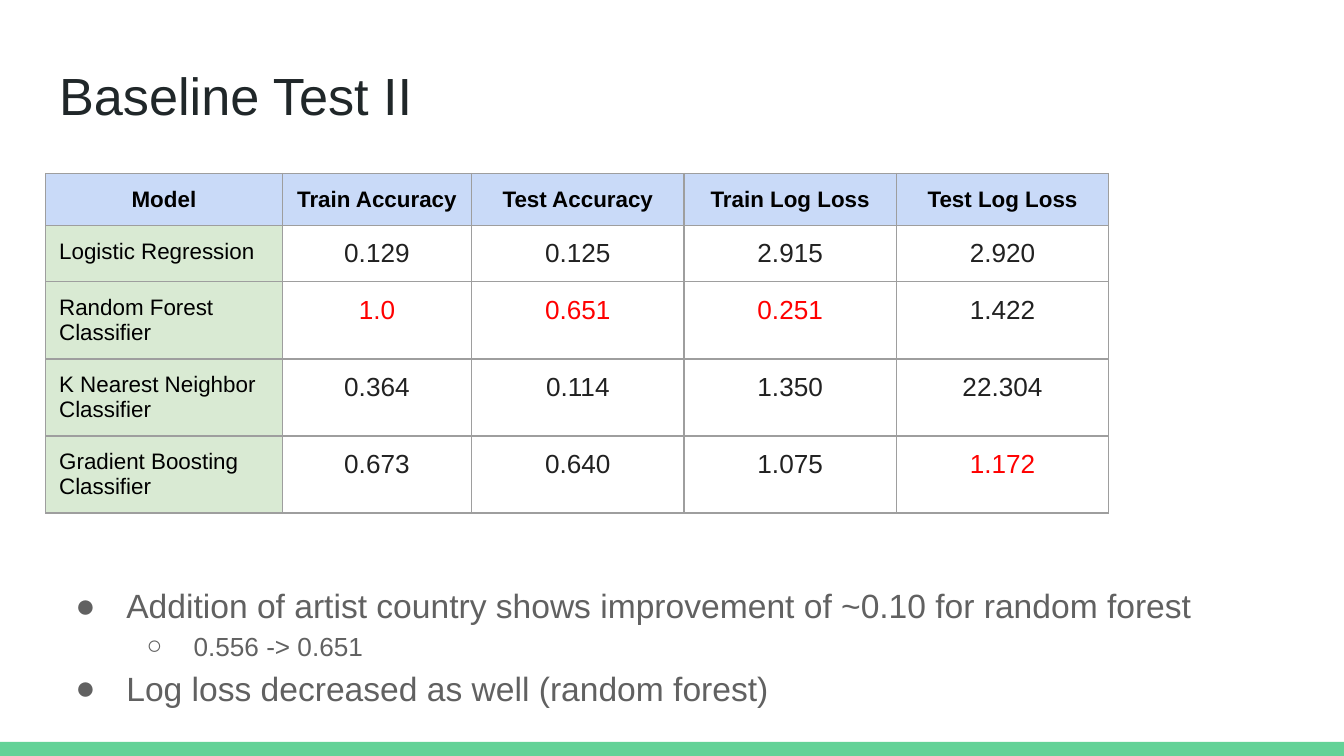
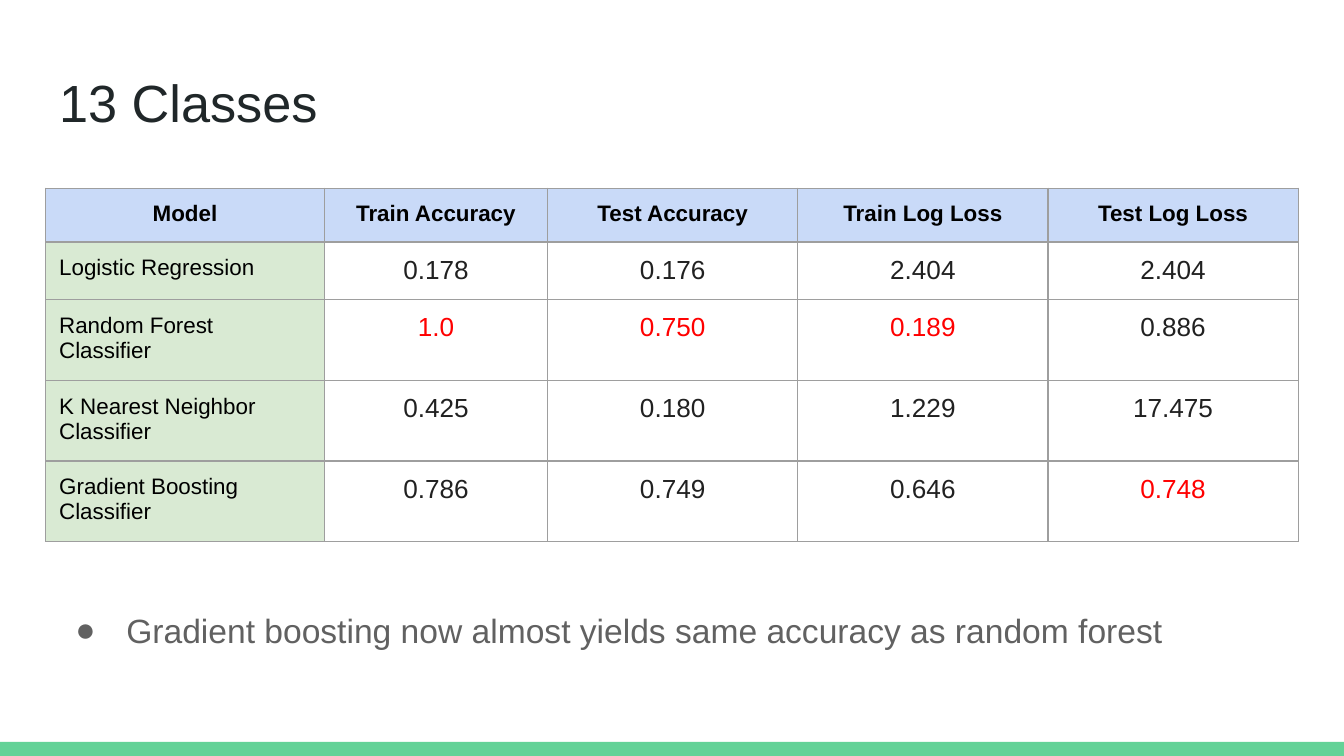
from lxml import etree
from pptx import Presentation
from pptx.dml.color import RGBColor
from pptx.enum.shapes import MSO_SHAPE
from pptx.enum.text import MSO_ANCHOR, MSO_AUTO_SIZE, PP_ALIGN
from pptx.oxml.ns import qn
from pptx.util import Inches, Pt

WHITE = RGBColor(0xFF, 0xFF, 0xFF)
BLACK = RGBColor(0x00, 0x00, 0x00)
GREEN_BAND = RGBColor(0x63, 0xD2, 0x97)
TITLE_INK = RGBColor(0x20, 0x27, 0x29)
BODY_INK = RGBColor(0x61, 0x61, 0x61)
SCORE_INK = RGBColor(0x21, 0x21, 0x21)
BEST_RED = RGBColor(0xFF, 0x00, 0x00)
HEADER_BLUE = RGBColor(0xC9, 0xDA, 0xF8)
MODEL_GREEN = RGBColor(0xD9, 0xEA, 0xD3)
GRID_GREY = RGBColor(0x9E, 0x9E, 0x9E)

FONT = "Arial"
WIDTH = Inches(10)
HEIGHT = WIDTH * 9 // 16
MARGIN = Inches(0.34)
CONTENT_WIDTH = WIDTH - 2 * MARGIN
TITLE_HEIGHT = Inches(0.63)
INSET = Inches(0.1)
BAND_TOP = Inches(5.52)

HEADINGS = ["Model", "Train Accuracy", "Test Accuracy", "Train Log Loss", "Test Log Loss"]
MODELS = ["Logistic Regression", "Random Forest Classifier",
          "K Nearest Neighbor Classifier", "Gradient Boosting Classifier"]
COLUMN_WEIGHTS = [1.76, 1.41, 1.58, 1.58, 1.58]
# Best score of each column, as (row, column) of the table
BEST_CELLS = {(2, 1), (2, 2), (2, 3), (4, 4)}
# Bullet, left margin, hanging indent and text size of each list level
LEVELS = [("●", 0.5, -0.38, 18), ("○", 1, -0.35, 14)]

RESULTS = [
    {
        "title": "Baseline Test II", "title_top": 0.37,
        "table_top": 1.29, "table_width": 7.91,
        "row_heights": [0.38, 0.42, 0.42, 0.42, 0.42],
        "scores": [["0.129", "0.125", "2.915", "2.920"],
                   ["1.0", "0.651", "0.251", "1.422"],
                   ["0.364", "0.114", "1.350", "22.304"],
                   ["0.673", "0.640", "1.075", "1.172"]],
        "findings_top": 4.21, "findings_height": 1.07,
        "findings": [(0, "Addition of artist country shows improvement of ~0.10 for random forest"),
                     (1, "0.556 -> 0.651"),
                     (0, "Log loss decreased as well (random forest)")],
    },
    {
        "title": "13 Classes", "title_top": 0.42,
        "table_top": 1.4, "table_width": 9.32,
        "row_heights": [0.4, 0.43, 0.6, 0.6, 0.6],
        "scores": [["0.178", "0.176", "2.404", "2.404"],
                   ["1.0", "0.750", "0.189", "0.886"],
                   ["0.425", "0.180", "1.229", "17.475"],
                   ["0.786", "0.749", "0.646", "0.748"]],
        "findings_top": 4.39, "findings_height": 1.12,
        "findings": [(0, "Gradient boosting now almost yields same accuracy as random forest")],
    },
]


def add_run(paragraph, text, size, color, bold=False):
    run = paragraph.add_run()
    run.text = text
    run.font.name = FONT
    run.font.size = Pt(size)
    run.font.bold = bold
    run.font.color.rgb = color


def place(holder, top, height):
    holder.left, holder.top = MARGIN, Inches(top)
    holder.width, holder.height = CONTENT_WIDTH, height
    frame = holder.text_frame
    frame.word_wrap = True
    frame.auto_size = MSO_AUTO_SIZE.NONE
    frame.vertical_anchor = MSO_ANCHOR.TOP
    frame.margin_left = frame.margin_right = INSET
    frame.margin_top = frame.margin_bottom = INSET
    return frame


deck = Presentation()
deck.slide_width, deck.slide_height = WIDTH, HEIGHT
master = deck.slide_master
master.background.fill.solid()
master.background.fill.fore_color.rgb = WHITE

for number, result in enumerate(RESULTS):
    slide = deck.slides.add_slide(deck.slide_layouts[1])

    # Green band, built once and moved to the master
    if number == 0:
        band = slide.shapes.add_shape(MSO_SHAPE.RECTANGLE, 0, BAND_TOP, WIDTH, HEIGHT - BAND_TOP)
        band.shadow.inherit = False
        band.fill.solid()
        band.fill.fore_color.rgb = GREEN_BAND
        band.line.fill.background()
        band.element.nvSpPr.cNvPr.set("id", "20")
        master.shapes.element.insert(2, band.element)

    # Title
    heading = place(slide.shapes.title, result["title_top"], TITLE_HEIGHT).paragraphs[0]
    heading.alignment = PP_ALIGN.LEFT
    add_run(heading, result["title"], 28, TITLE_INK)

    # Findings
    findings = place(slide.placeholders[1], result["findings_top"], Inches(result["findings_height"]))
    for index, (level, text) in enumerate(result["findings"]):
        finding = findings.add_paragraph() if index else findings.paragraphs[0]
        bullet, margin, indent, size = LEVELS[level]
        finding.level = level
        finding.line_spacing = 1.15
        finding.space_before = finding.space_after = Pt(0)
        properties = finding._p.get_or_add_pPr()
        properties.set("marL", str(Inches(margin)))
        properties.set("indent", str(Inches(indent)))
        bullet_color = etree.SubElement(properties, qn("a:buClr"))
        etree.SubElement(bullet_color, qn("a:srgbClr"), val=str(BODY_INK))
        etree.SubElement(properties, qn("a:buFont"), typeface=FONT)
        etree.SubElement(properties, qn("a:buChar"), char=bullet)
        add_run(finding, text, size, BODY_INK)

    # Score table
    rows = [HEADINGS] + [[model] + scores for model, scores in zip(MODELS, result["scores"])]
    table_width = Inches(result["table_width"])
    scoreboard = slide.shapes.add_table(
        len(rows), len(HEADINGS), MARGIN, Inches(result["table_top"]),
        table_width, Inches(sum(result["row_heights"]))).table
    scoreboard.first_row = scoreboard.horz_banding = False
    for column, weight in zip(scoreboard.columns, COLUMN_WEIGHTS):
        column.width = int(table_width * weight / sum(COLUMN_WEIGHTS))
    for row, height in zip(scoreboard.rows, result["row_heights"]):
        row.height = Inches(height)

    for r, texts in enumerate(rows):
        for c, text in enumerate(texts):
            cell = scoreboard.cell(r, c)
            cell.margin_left = cell.margin_right = INSET
            cell.margin_top = cell.margin_bottom = INSET
            for side in ("a:lnL", "a:lnR", "a:lnT", "a:lnB"):
                border = etree.SubElement(cell._tc.get_or_add_tcPr(), qn(side), w=str(Pt(0.75)))
                paint = etree.SubElement(border, qn("a:solidFill"))
                etree.SubElement(paint, qn("a:srgbClr"), val=str(GRID_GREY))

            if r == 0 or c == 0:
                cell.fill.solid()
                cell.fill.fore_color.rgb = HEADER_BLUE if r == 0 else MODEL_GREEN
                size, color = 12, BLACK
            else:
                cell.fill.background()
                size, color = 14, BEST_RED if (r, c) in BEST_CELLS else SCORE_INK
            entry = cell.text_frame.paragraphs[0]
            entry.alignment = PP_ALIGN.LEFT if r and c == 0 else PP_ALIGN.CENTER
            add_run(entry, text, size, color, bold=r == 0)

deck.save("out.pptx")
